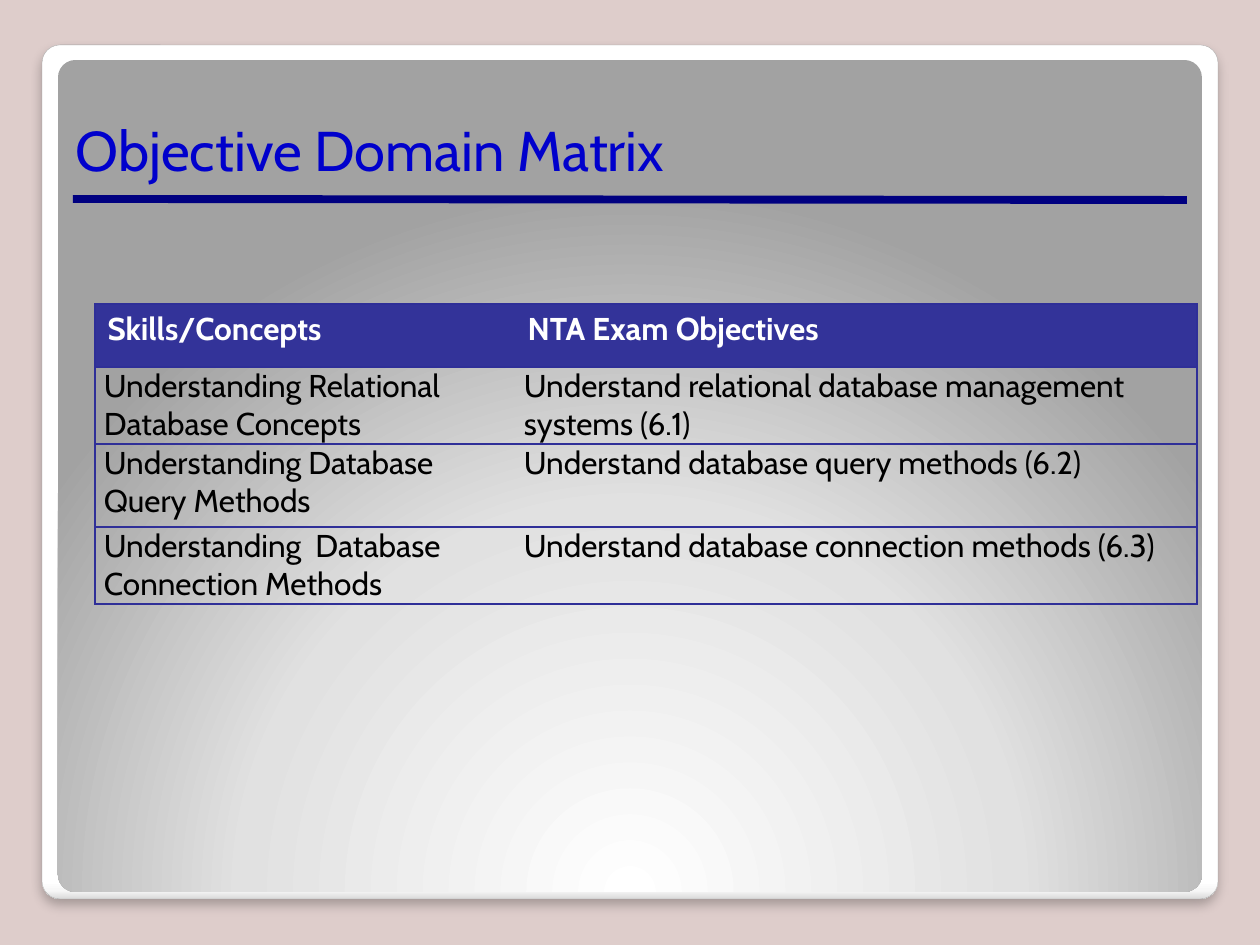
from dataclasses import dataclass
from typing import Any

import lxml.etree
import pptx
import pptx.dml.color
import pptx.enum.shapes
import pptx.enum.text
import pptx.oxml
import pptx.oxml.ns
import pptx.util

EMU_PER_PX = 914400 / 126
FONT = "Cabin"
BORDER = "2F2F98"
HEADER_FILL = "333399"
DRAWING_NS = pptx.oxml.ns.nsdecls("a")


@dataclass
class Box:
    left: int
    top: int
    width: int
    height: int

    def emu(self) -> list[int]:
        return [px(side) for side in (self.left, self.top, self.width, self.height)]


@dataclass
class Panel:
    box: Box
    stops: list[tuple[int, str]]
    direction: str


@dataclass
class TableRow:
    height: int
    texts: tuple[str, str]


def px(length: int) -> int:
    return round(length * EMU_PER_PX)


def color(value: str) -> pptx.dml.color.RGBColor:
    return pptx.dml.color.RGBColor.from_string(value)


def format_text(frame: Any, text: str, size: int, ink: str, bold: bool = False) -> None:
    para = frame.paragraphs[0]
    para.alignment = pptx.enum.text.PP_ALIGN.LEFT
    span = para.add_run()
    span.text = text
    formats = {"name": FONT, "size": pptx.util.Pt(size), "bold": bold}
    for name, value in formats.items():
        setattr(span.font, name, value)
    span.font.color.rgb = color(ink)


def draw_panel(page: Any, panel: Panel) -> Any:
    kind = pptx.enum.shapes.MSO_SHAPE.ROUNDED_RECTANGLE
    shape = page.shapes.add_shape(kind, *panel.box.emu())
    shape.adjustments[0] = 0.021
    shape.shadow.inherit = False
    shape.line.fill.background()
    stops = "".join(
        f'<a:gs pos="{percent * 1000}"><a:srgbClr val="{value}"/></a:gs>'
        for percent, value in panel.stops
    )
    gradient = pptx.oxml.parse_xml(
        f'<a:gradFill {DRAWING_NS} rotWithShape="1">'
        f"<a:gsLst>{stops}</a:gsLst>{panel.direction}</a:gradFill>"
    )
    shape.element.spPr.find(pptx.oxml.ns.qn("a:prstGeom")).addnext(gradient)
    return shape


def add_shadow(shape: Any) -> None:
    effects = shape.element.spPr.find(pptx.oxml.ns.qn("a:effectLst"))
    effects.append(pptx.oxml.parse_xml(
        f'<a:outerShdw {DRAWING_NS} blurRad="76200" dist="50800" dir="5400000" '
        'algn="tl" rotWithShape="0"><a:srgbClr val="000000">'
        '<a:alpha val="25000"/></a:srgbClr></a:outerShdw>'
    ))


def set_borders(cell: Any, visible: set[str]) -> None:
    properties = cell._tc.get_or_add_tcPr()
    for index, side in enumerate(("L", "R", "T", "B")):
        paint = (
            f'<a:solidFill><a:srgbClr val="{BORDER}"/></a:solidFill>'
            if side in visible else "<a:noFill/>"
        )
        properties.insert(index, pptx.oxml.parse_xml(
            f'<a:ln{side} {DRAWING_NS} w="9525">{paint}</a:ln{side}>'
        ))


def draw_table(page: Any, box: Box, widths: list[int], rows: list[TableRow]) -> None:
    frame = page.shapes.add_table(len(rows), len(widths), *box.emu())
    table = frame.table
    table.horz_banding = False
    for column, width in zip(table.columns, widths):
        column.width = px(width)
    for row_index, row in enumerate(rows):
        table.rows[row_index].height = px(row.height)
        header = row_index == 0
        for column_index, text in enumerate(row.texts):
            cell = table.cell(row_index, column_index)
            if header:
                cell.fill.solid()
                cell.fill.fore_color.rgb = color(HEADER_FILL)
            else:
                cell.fill.background()
                margins = {"left": 9, "right": 9, "top": 0, "bottom": 0}
                for side, margin in margins.items():
                    setattr(cell, f"margin_{side}", px(margin))
            format_text(cell.text_frame, text, 18, "FFFFFF" if header else "000000", header)
            set_borders(cell, {"T", "B", "L" if column_index == 0 else "R"})


def main() -> None:
    deck = pptx.Presentation()
    deck.slide_width, deck.slide_height = px(1260), px(945)
    page = deck.slides.add_slide(deck.slide_layouts[5])
    page.background.fill.solid()
    page.background.fill.fore_color.rgb = color("DECDCB")

    # White frame with a soft shadow, and the grey panel inside it
    frame = draw_panel(page, Panel(
        Box(42, 45, 1176, 854),
        [(0, "FFFFFF"), (98, "FFFFFF"), (99, "F7F7F7"), (100, "DADADA")],
        '<a:lin ang="5400000" scaled="0"/>',
    ))
    frame.line.color.rgb = color("A4A4A4")
    frame.line.width = pptx.util.Pt(0.16)
    add_shadow(frame)
    draw_panel(page, Panel(
        Box(58, 60, 1144, 832),
        [(0, "FFFFFF"), (55, "E1E1E1"), (100, "A2A2A2")],
        '<a:path path="circle"><a:fillToRect l="50000" t="175000" '
        'r="50000" b="-75000"/></a:path>',
    ))

    # Rule under the title
    rule = page.shapes.add_connector(
        pptx.enum.shapes.MSO_CONNECTOR.STRAIGHT, px(73), px(199), px(1187), px(200)
    )
    rule.line.color.rgb = color("000080")
    rule.line.width = pptx.util.Pt(4.5)
    lxml.etree.SubElement(rule.element.spPr, pptx.oxml.ns.qn("a:effectLst"))

    # Title, brought in front of the panels
    title = page.shapes.title
    rule.element.addnext(title.element)
    for name, value in zip(("left", "top", "width", "height"), Box(63, 63, 1134, 126).emu()):
        setattr(title, name, value)
    title.text_frame.vertical_anchor = pptx.enum.text.MSO_ANCHOR.BOTTOM
    format_text(title.text_frame, "Objective Domain Matrix", 32, "0000CC")

    # Skills and the exam objectives they meet
    draw_table(page, Box(95, 304, 1102, 300), [420, 682], [
        TableRow(63, ("Skills/Concepts", "NTA Exam Objectives")),
        TableRow(77, ("Understanding Relational Database Concepts",
                      "Understand relational database management systems (6.1)")),
        TableRow(83, ("Understanding Database Query Methods",
                      "Understand database query methods (6.2)")),
        TableRow(77, ("Understanding  Database Connection Methods",
                      "Understand database connection methods (6.3)")),
    ])

    deck.save("out.pptx")


if __name__ == "__main__":
    main()
